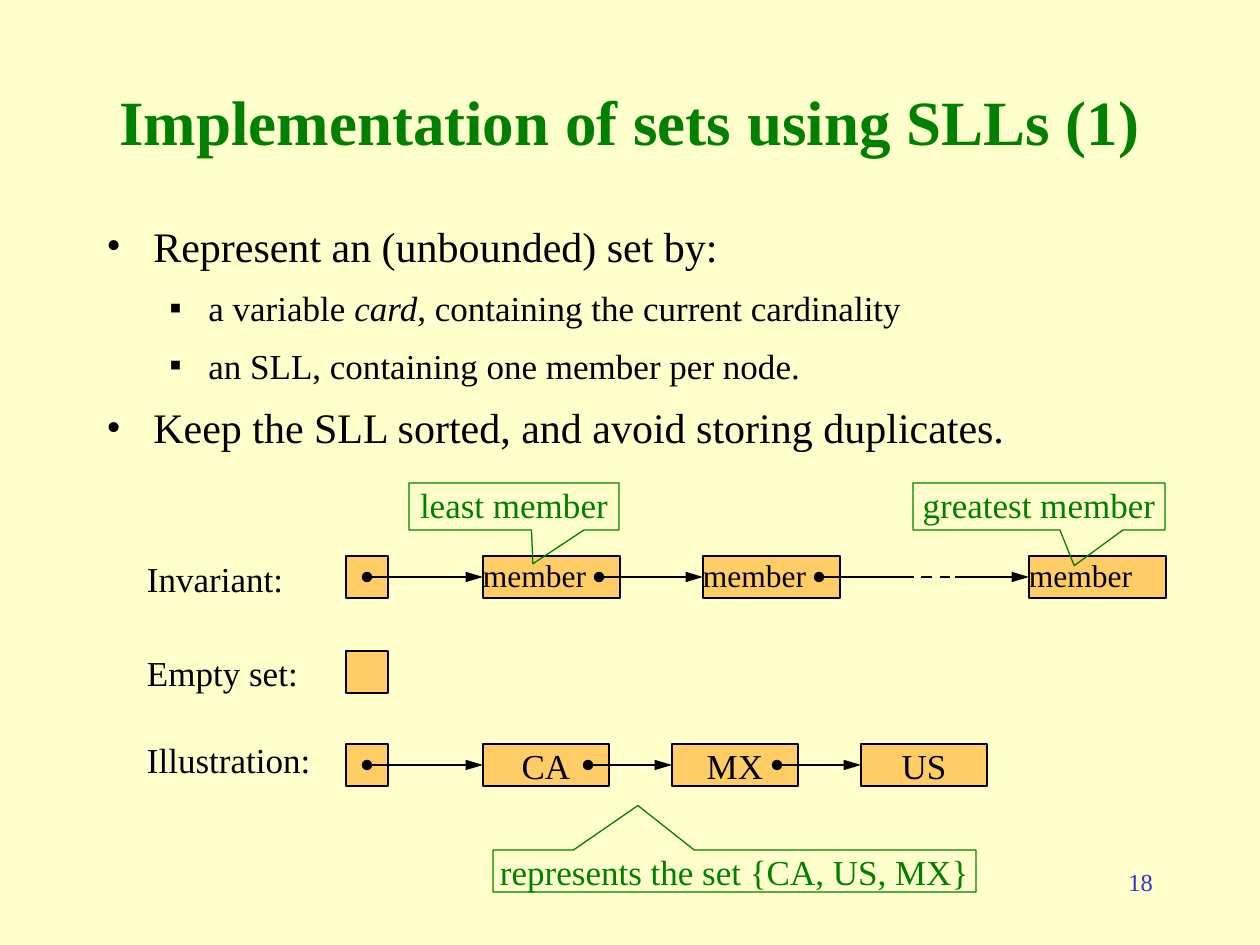
from lxml.etree import SubElement as Sub
from pptx import Presentation
from pptx.dml.color import RGBColor as RGB
from pptx.enum.dml import MSO_LINE as Dash
from pptx.enum.shapes import MSO_CONNECTOR as Conn, MSO_SHAPE as Shape
from pptx.enum.text import MSO_ANCHOR as Anchor, PP_ALIGN as Align
from pptx.oxml.ns import qn
from pptx.util import Emu, Pt

FONT = "Times New Roman"
HUE = {"page": "FFFFCC", "green": "008000", "ink": "000000",
       "node": "FFCC66", "num": "3333CC"}

# Content
TITLE = "Implementation of sets using SLLs (1)"
NUMBER = "18"
BODY = [  # level, runs; every second run is italic
    (0, ["Represent an (unbounded) set by:"]),
    (1, ["a variable ", "card", ", containing the current cardinality"]),
    (1, ["an SLL, containing one member per node."]),
    (0, ["Keep the SLL sorted, and avoid storing duplicates."]),
]
LEVELS = [("•", 24, 47, 47), ("▪", 20, 102, 39)]  # bullet, size, left, hang
ROWS = [  # label, label top, row top, node width, size, align, nodes
    ("Invariant:", 557, 556, 137, 18, Align.LEFT,
     [("member", 483), ("member", 703), ("member", 1029)]),
    ("Empty set:", 651, 651, 0, 20, Align.CENTER, []),
    ("Illustration:", 738, 744, 126, 20, Align.CENTER,
     [("CA", 483), ("MX", 672), ("US", 861)]),
]
CALLS = [  # text, box, tip
    ("least member", (409, 483, 210, 47), (0.09, 1.22)),
    ("greatest member", (913, 483, 252, 47), (0.14, 1.26)),
    ("represents the set {CA, US, MX}", (493, 850, 483, 42), (-0.2, -1.56)),
]
HEAD, SIDE, LABEL = 346, 42, 147  # head cell left, cell size, label left
GAP = (903, 955)  # dashed part of the invariant list


def px(n):
    return Emu(round(n * 914400 / 126))


def paint(para, size, hue, align=Align.LEFT):
    para.alignment = align
    for run in para.runs:
        font = run.font
        font.name, font.size = FONT, Pt(size)
        font.color.rgb = RGB.from_string(HUE[hue])


def write(item, text, size, hue, align=Align.LEFT, pad=(0, 0)):
    frame = item.text_frame
    frame.word_wrap = True
    frame.vertical_anchor = Anchor.TOP
    frame.margin_left = frame.margin_right = px(pad[0])
    frame.margin_top = frame.margin_bottom = px(pad[1])
    frame.text = text
    paint(frame.paragraphs[0], size, hue, align)


def add_box(box, kind=Shape.RECTANGLE, fill=None, line="ink"):
    item = slide.shapes.add_shape(kind, *map(px, box))
    item.shadow.inherit = False
    if fill:
        item.fill.solid()
        item.fill.fore_color.rgb = RGB.from_string(HUE[fill])
    else:
        item.fill.background()
    item.line.color.rgb = RGB.from_string(HUE[line])
    item.line.width = Pt(0.75)
    return item


def add_text(box, *style, **more):
    write(slide.shapes.add_textbox(*map(px, box)), *style, **more)


def add_link(x, end, y, dot=True, goal=None, dash=False):
    link = slide.shapes.add_connector(
        Conn.STRAIGHT, px(x), px(y), px(end), px(y))
    if goal:
        link.end_connect(goal, 1)
    link.line.color.rgb = RGB.from_string(HUE["ink"])
    link.line.width = Pt(1.5)
    if dash:
        link.line.dash_style = Dash.DASH
    ln = link.line._get_or_add_ln()
    if dot:
        Sub(ln, qn("a:headEnd"), type="oval", w="med", len="med")
    if goal:
        Sub(ln, qn("a:tailEnd"), type="triangle", w="med", len="lg")
    Sub(link._element.spPr, qn("a:effectLst"))


# Page and title
prs = Presentation()
prs.slide_width, prs.slide_height = px(1260), px(945)
slide = prs.slides.add_slide(prs.slide_layouts[5])
slide.background.fill.solid()
slide.background.fill.fore_color.rgb = RGB.from_string(HUE["page"])
title = slide.shapes.title
title.left, title.top, title.width, title.height = map(px, (94, 73, 1071, 94))
write(title, TITLE, 36, "green", Align.CENTER, pad=(12, 6))
title.text_frame.vertical_anchor = Anchor.MIDDLE
title.text_frame.paragraphs[0].runs[0].font.bold = True

# Bullets
body = slide.shapes.add_textbox(*map(px, (94, 214, 1071, 250))).text_frame
body.word_wrap = True
for i, (level, runs) in enumerate(BODY):
    mark, size, left, hang = LEVELS[level]
    para = body.add_paragraph() if i else body.paragraphs[0]
    para.level = level
    if i:
        para.space_before = Pt(9)
    props = para._p.get_or_add_pPr()
    props.set("marL", str(px(left)))
    props.set("indent", str(-px(hang)))
    Sub(props, qn("a:buFont"), typeface=FONT)
    Sub(props, qn("a:buChar"), char=mark)
    for j, text in enumerate(runs):
        run = para.add_run()
        run.text = text
        run.font.italic = j % 2 == 1
    paint(para, size, "ink")

# Linked lists: each cell's dot sits half a side from its right edge
for label, high, top, wide, size, align, nodes in ROWS:
    add_text((LABEL, high, 189, 42), label, 20, "ink")
    mid = top + SIDE / 2
    cells = [(add_box((HEAD, top, SIDE, SIDE), fill="node"), HEAD, SIDE)]
    for text, x in nodes:
        cell = add_box((x, top, wide, SIDE), fill="node")
        write(cell, text, size, "ink", align)
        cells.append((cell, x, wide))
    for i, (cell, x, width) in enumerate(cells):
        dot = x + width - SIDE / 2
        if i + 1 == len(cells):
            add_link(dot, dot, mid)
            continue
        goal, end, _ = cells[i + 1]
        if dot < GAP[0] and end > GAP[1]:
            add_link(dot, GAP[0], mid)
            add_link(*GAP, mid, dot=False, dash=True)
            add_link(GAP[1], end, mid, dot=False, goal=goal)
        else:
            add_link(dot, end, mid, goal=goal)

# Callouts
for text, box, tip in CALLS:
    call = add_box(box, Shape.RECTANGULAR_CALLOUT, line="green")
    call.adjustments[0], call.adjustments[1] = tip
    write(call, text, 20, "green", Align.CENTER, pad=(5, 0))

# Slide number
add_text((903, 861, 262, 63), NUMBER, 14, "num", Align.RIGHT, pad=(12, 6))

prs.save("out.pptx")
